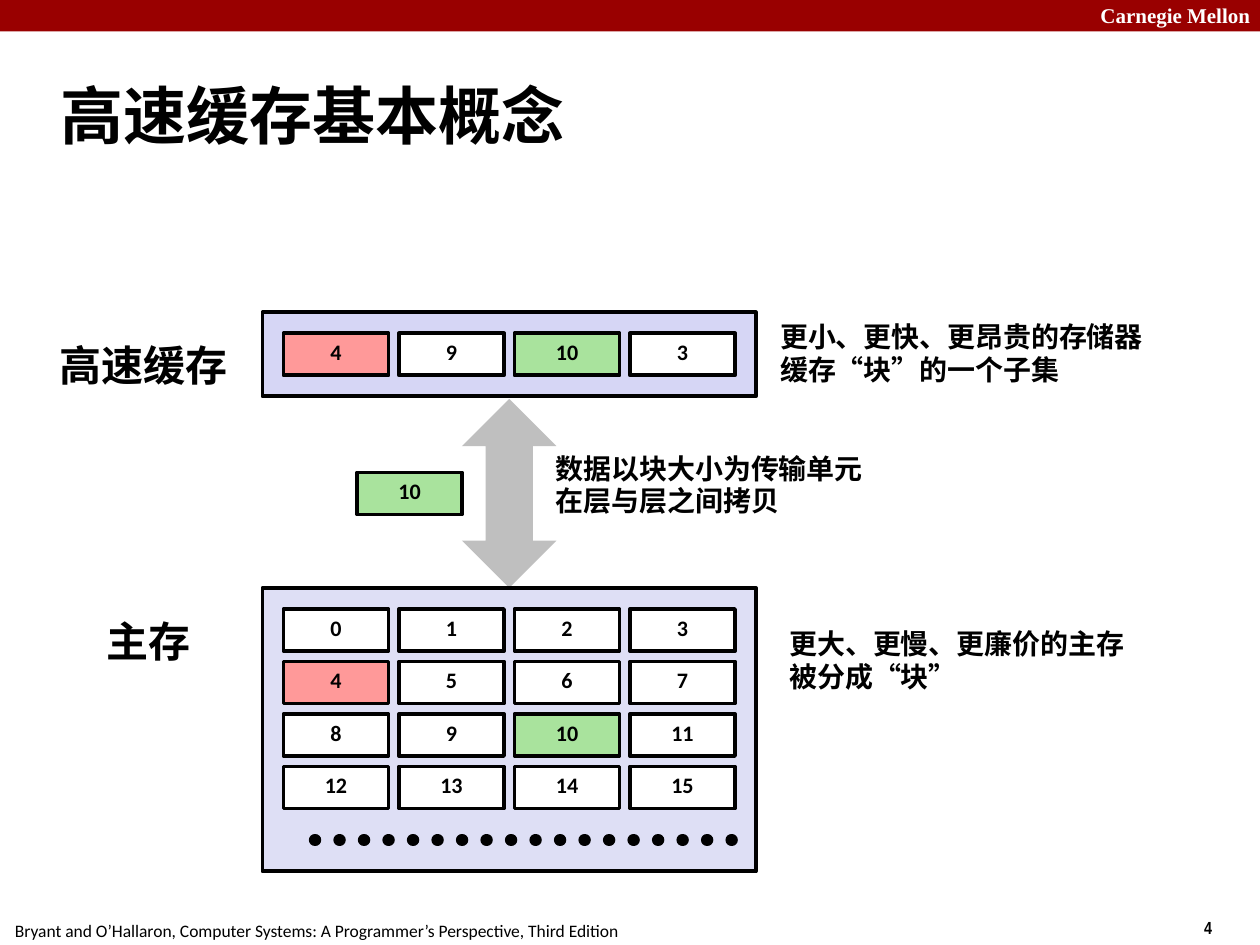
from lxml.etree import SubElement
from pptx import Presentation
from pptx.dml.color import RGBColor
from pptx.enum.dml import MSO_LINE
from pptx.enum.shapes import MSO_CONNECTOR, MSO_SHAPE
from pptx.enum.text import MSO_ANCHOR as ANCHOR, MSO_AUTO_SIZE as AUTO, PP_ALIGN as ALIGN
from pptx.oxml.ns import qn
from pptx.util import Pt

PX = 9525  # EMU per px, 96 px to the inch
BLACK = RGBColor(0x00, 0x00, 0x00)
WHITE = RGBColor(0xFF, 0xFF, 0xFF)
RED = RGBColor(0x99, 0x00, 0x00)
GRAY = RGBColor(0xBF, 0xBF, 0xBF)
CACHE_FILL = RGBColor(0xD6, 0xD6, 0xF5)
MEMORY_FILL = RGBColor(0xDE, 0xDF, 0xF5)
PINK = RGBColor(0xFF, 0x99, 0x99)
GREEN = RGBColor(0xA9, 0xE3, 0x9D)
BLOCK_FILLS = {4: PINK, 10: GREEN}

prs = Presentation()
prs.slide_width, prs.slide_height = 960 * PX, 720 * PX
s = prs.slides.add_slide(prs.slide_layouts[6])


def add_box(x, y, w, h, fill, outlined=True, kind=MSO_SHAPE.RECTANGLE):
    sp = s.shapes.add_shape(kind, x * PX, y * PX, w * PX, h * PX)
    sp.shadow.inherit = False
    sp.fill.solid()
    sp.fill.fore_color.rgb = fill
    if outlined:
        sp.line.color.rgb = BLACK
        sp.line.width = Pt(2.25)
    else:
        sp.line.fill.background()
    return sp


def add_text(sp, lines, size, font="Calibri", color=BLACK, bold=True,
             wrap=True, anchor=ANCHOR.TOP, align=ALIGN.LEFT, spacing=1.0):
    """Fill a shape with one paragraph for each line."""
    tf = sp.text_frame
    tf.word_wrap = wrap
    tf.vertical_anchor = anchor
    for i, line in enumerate(lines):
        p = tf.add_paragraph() if i else tf.paragraphs[0]
        p.alignment = align
        p.line_spacing = spacing
        r = p.add_run()
        r.text = line
        r.font.size = Pt(size)
        r.font.name = font
        r.font.bold = bold
        r.font.color.rgb = color


add_box(0, 0, 960, 24, RED, outlined=False)
add_box(352, 304, 72, 144, GRAY, outlined=False, kind=MSO_SHAPE.UP_DOWN_ARROW)
add_box(200, 448, 376, 216, MEMORY_FILL)
add_box(200, 238, 376, 64, CACHE_FILL)

# Blocks: the cache row, the block in transit and the memory grid
blocks = [(216 + 88 * i, 254, n) for i, n in enumerate((4, 9, 10, 3))]
blocks.append((272, 360, 10))
blocks += [(216 + 88 * (n % 4), 464 + 40 * (n // 4), n) for n in range(16)]
for x, y, n in blocks:
    block = add_box(x, y, 80, 32, BLOCK_FILLS.get(n, WHITE))
    add_text(block, [str(n)], 12.6, anchor=ANCHOR.MIDDLE, align=ALIGN.CENTER, spacing=0.8)

dots = s.shapes.add_connector(MSO_CONNECTOR.STRAIGHT, 240 * PX, 640 * PX, 560 * PX, 640 * PX)
dots.line.color.rgb = BLACK
dots.line.width = Pt(7)
dots.line.dash_style = MSO_LINE.ROUND_DOT
dots.line._get_or_add_ln().set("cap", "rnd")
SubElement(dots._element.spPr, qn("a:effectLst"))

note = dict(size=16, anchor=ANCHOR.MIDDLE, spacing=0.98)
texts = [
    (829, -3, 137, 29, ["Carnegie Mellon"],
     dict(size=12, font="Times New Roman", color=WHITE)),
    (908, 694, 72, 26, ["4"], dict(size=10, font="Arial Narrow")),
    (2, 696, 481, 26,
     ["Bryant and O’Hallaron, Computer Systems: A Programmer’s Perspective, Third Edition"],
     dict(size=10, bold=False, wrap=False)),
    (37, 47, 797, 80, ["高速缓存基本概念"], dict(size=36, anchor=ANCHOR.MIDDLE)),
    (36, 254, 147, 48, ["高速缓存"], dict(size=24, wrap=False)),
    (72, 464, 83, 48, ["主存"], dict(size=24, wrap=False)),
    (592, 474, 275, 60, ["更大、更慢、更廉价的主存", "被分成“块”"], dict(note, wrap=False)),
    (414, 340, 298, 60, ["数据以块大小为传输单元", "在层与层之间拷贝"], note),
    (585, 240, 296, 60, ["更小、更快、更昂贵的存储器", "缓存“块”的一个子集"],
     dict(note, wrap=False)),
]
for x, y, w, h, lines, style in texts:
    box = s.shapes.add_textbox(x * PX, y * PX, w * PX, h * PX)
    box.text_frame.auto_size = AUTO.NONE
    add_text(box, lines, **style)

prs.save("out.pptx")
